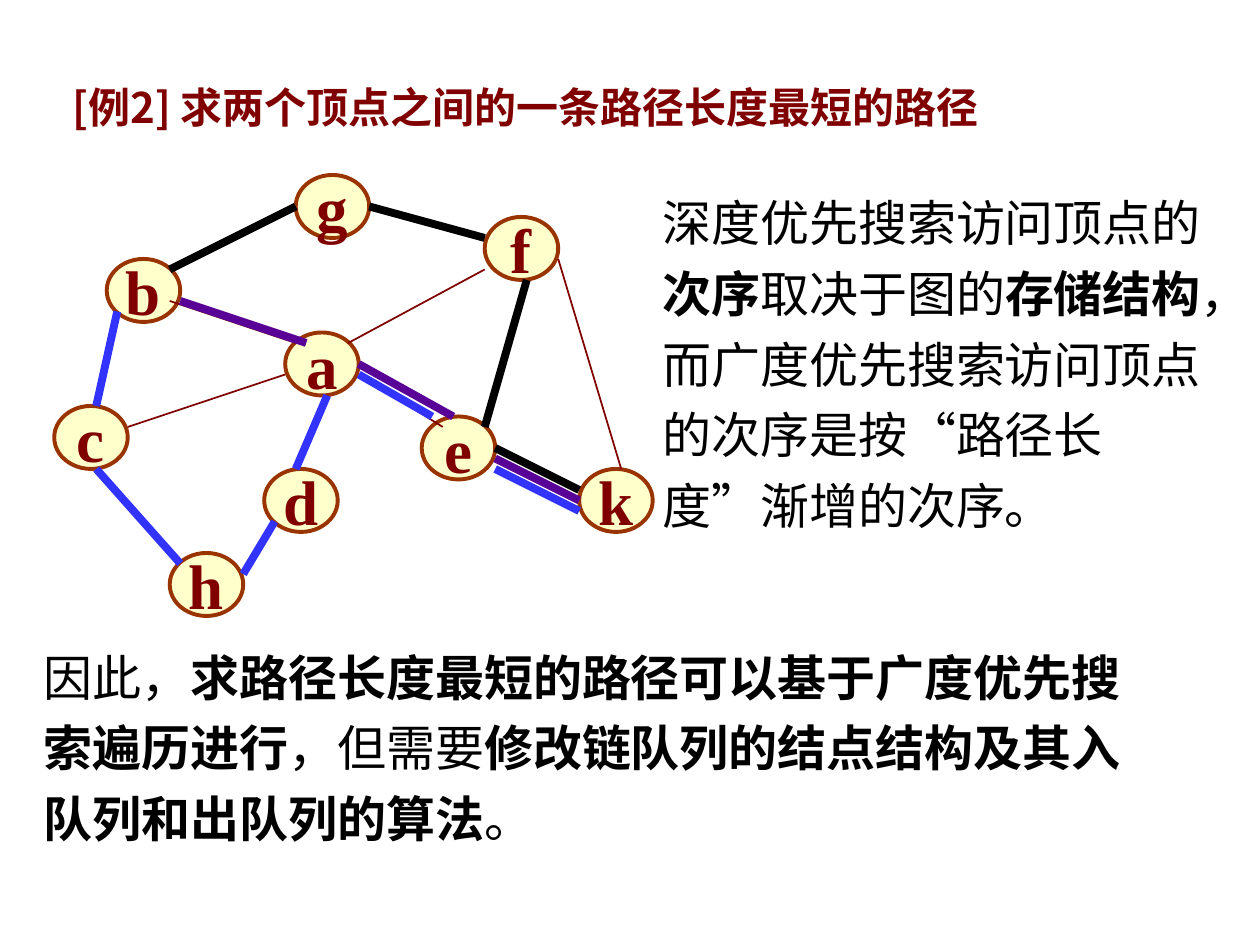
from lxml import etree
from pptx import Presentation
from pptx.dml.color import RGBColor
from pptx.enum.lang import MSO_LANGUAGE_ID
from pptx.enum.shapes import MSO_CONNECTOR, MSO_SHAPE
from pptx.enum.text import MSO_ANCHOR, PP_ALIGN
from pptx.oxml.ns import qn
from pptx.util import Pt

ELLIPSE = MSO_SHAPE.OVAL
STRAIGHT = MSO_CONNECTOR.STRAIGHT
MIDDLE = MSO_ANCHOR.MIDDLE
CENTER = PP_ALIGN.CENTER
CHINESE = MSO_LANGUAGE_ID.SIMPLIFIED_CHINESE

COLORS = {
    "maroon": "800000",
    "text": "000000",
    "vertex": "FFFF99",
    "vertex_border": "993300",
    "depth_path": "3333FF",
    "breadth_path": "590096",
    "outer_path": "000000",
}
HEAD_FONT = "Noto Sans CJK SC"
BODY_FONT = "Times New Roman"

VERTEX_SIZE = (42, 36)
VERTICES = {
    "a": (163, 190), "b": (61, 148), "c": (31, 232),
    "h": (97, 316), "d": (151, 268), "e": (241, 238),
    "k": (331, 268), "f": (277, 124), "g": (169, 100),
}
EDGES = {
    "ac": (163, 214, 73, 244),
    "ch": (55, 268, 103, 322),
    "gf": (211, 118, 277, 136),
    "ad": (187, 226, 169, 268),
    "dh": (157, 298, 139, 328),
    "ek": (283, 262, 331, 286),
    "ae": (205, 214, 253, 244),
    "fk": (319, 148, 355, 268),
    "fe": (301, 160, 277, 244),
    "bg": (97, 154, 169, 118),
    "ba": (97, 172, 169, 196),
    "fa": (277, 154, 199, 196),
    "bc": (67, 184, 55, 232),
}
DEPTH_PATH = [
    (67, 178, 55, 232), EDGES["ch"], EDGES["dh"], EDGES["ad"],
    (205, 214, 247, 238), (283, 268, 331, 292),
]
BREADTH_PATH = [(103, 172, 175, 196), (205, 208, 259, 238), EDGES["ek"]]
OUTER_PATH = [EDGES["bg"], EDGES["gf"], EDGES["fe"], (283, 256, 331, 280)]

TITLE = [("[例2] 求两个顶点之间的一条路径长度最短的路径", True)]
CONCLUSION = [
    ("因此，", False),
    ("求路径长度最短的路径可以基于广度优先搜索遍历进行", True),
    ("，但需要", False),
    ("修改链队列的结点结构及其入队列和出队列的算法", True),
    ("。", False),
]
COMPARISON = [
    ("深度优先搜索访问顶点的", False),
    ("次序", True),
    ("取决于图的", False),
    ("存储结构", True),
    ("，而广度优先搜索访问顶点的次序是按“路径长度”渐增的次序。", False),
]


def rgb(name):
    return RGBColor.from_string(COLORS[name])


def format_run(run, size, color, bold, font=BODY_FONT):
    run.font.size = Pt(size)
    run.font.bold = bold
    run.font.name = font
    run.font.color.rgb = rgb(color)
    run.font.language_id = CHINESE
    latin = run.font._element.find(qn("a:latin"))
    east_asian = etree.Element(qn("a:ea"), typeface=HEAD_FONT)
    latin.addnext(east_asian)


def add_text(slide, bounds, pieces, size, color, spacing, font=BODY_FONT):
    frame = slide.shapes.add_textbox(*map(Pt, bounds)).text_frame
    frame.word_wrap = True
    paragraph = frame.paragraphs[0]
    paragraph.line_spacing = spacing
    for words, bold in pieces:
        run = paragraph.add_run()
        run.text = words
        format_run(run, size, color, bold, font)


def add_vertex(slide, letter, position):
    vertex = slide.shapes.add_shape(ELLIPSE, *map(Pt, position + VERTEX_SIZE))
    vertex.shadow.inherit = False
    vertex.fill.solid()
    vertex.fill.fore_color.rgb = rgb("vertex")
    fill_color = vertex._element.spPr.find(qn("a:solidFill"))[0]
    etree.SubElement(fill_color, qn("a:alpha"), val="50000")
    vertex.line.color.rgb = rgb("vertex_border")
    vertex.line.width = Pt(2.25)
    frame = vertex.text_frame
    frame.text = letter
    frame.word_wrap = False
    frame.vertical_anchor = MIDDLE
    frame.paragraphs[0].alignment = CENTER
    format_run(frame.paragraphs[0].runs[0], 36, "maroon", True)


def add_edges(slide, edges, color, width):
    for ends in edges:
        edge = slide.shapes.add_connector(STRAIGHT, *map(Pt, ends))
        edge.line.color.rgb = rgb(color)
        edge.line.width = Pt(width)
        etree.SubElement(edge._element.spPr, qn("a:effectLst"))


def main():
    deck = Presentation()
    deck.slide_width, deck.slide_height = Pt(720), Pt(540)
    slide = deck.slides.add_slide(deck.slide_layouts[6])

    add_text(slide, (34.5, 36, 620, 43), TITLE, 24, "maroon", 1.25, HEAD_FONT)
    add_text(slide, (18, 359.5, 637, 128), CONCLUSION, 28, "text", 1.2)
    for letter, position in VERTICES.items():
        add_vertex(slide, letter, position)
    add_edges(slide, EDGES.values(), "maroon", 1)
    add_edges(slide, DEPTH_PATH, "depth_path", 4.5)
    add_edges(slide, BREADTH_PATH, "breadth_path", 4.5)
    add_text(slide, (371.5, 100, 330, 209), COMPARISON, 28, "text", 1.2)
    add_edges(slide, OUTER_PATH, "outer_path", 4.5)

    deck.save("out.pptx")


if __name__ == "__main__":
    main()
